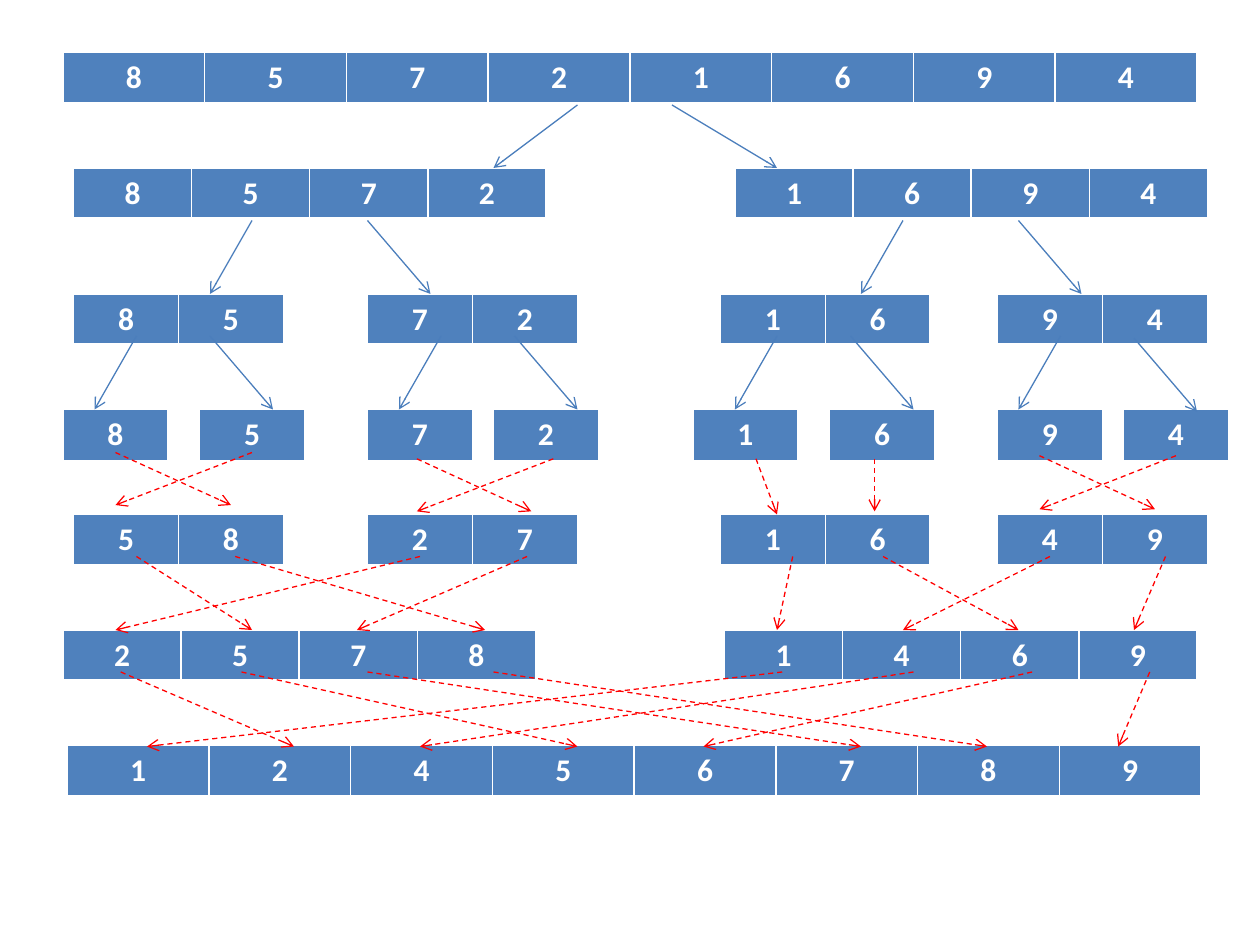
from pptx import Presentation, util as u
from pptx.dml.color import RGBColor
from pptx.enum import dml, shapes, text
from pptx.oxml.ns import qn
from lxml import etree

HUES = {"cell": "4F81BD", "edge": "FFFFFF", "text": "FFFFFF",
        "split": "4B7EBC", "merge": "FF0000"}
GRID = 2.54 / 12


def cm(n):
    return u.Cm(n * GRID)


def hue(key):
    return RGBColor.from_string(HUES[key])


class Sketch:
    font = "Calibri"
    size = u.Pt(18)
    thin = u.Pt(0.75)
    edges = {"a:lnL": 1, "a:lnR": 1, "a:lnT": 1, "a:lnB": 3}

    def __init__(self, deck):
        self.slide = deck.slides.add_slide(deck.slide_layouts[6])

    def border(self, cell):
        props = cell._tc.get_or_add_tcPr()
        for tag, width in self.edges.items():
            line = etree.SubElement(props, qn(tag), w=str(u.Pt(width)))
            fill = etree.SubElement(line, qn("a:solidFill"))
            etree.SubElement(fill, qn("a:srgbClr"), val=HUES["edge"])

    def array(self, left, top, wide, high, digits):
        count = len(digits)
        frame = self.slide.shapes.add_table(
            1, count, cm(left), cm(top), cm(wide * count), cm(high))
        table = frame.table
        table.horz_banding = False
        for cell, digit in zip(table.iter_cells(), digits):
            self.border(cell)
            cell.fill.solid()
            cell.fill.fore_color.rgb = hue("cell")
            cell.text = digit
            para = cell.text_frame.paragraphs[0]
            para.alignment = text.PP_ALIGN.CENTER
            para.font.name = self.font
            para.font.size = self.size
            para.font.bold = True
            para.font.color.rgb = hue("text")

    def arrow(self, start, top, end, base, kind):
        link = self.slide.shapes.add_connector(
            shapes.MSO_CONNECTOR.STRAIGHT, cm(start), cm(top), cm(end), cm(base))
        link.line.color.rgb = hue(kind)
        link.line.width = self.thin
        if kind == "merge":
            link.line.dash_style = dml.MSO_LINE.DASH
        etree.SubElement(link.line._get_or_add_ln(), qn("a:tailEnd"), type="arrow")
        etree.SubElement(link._element.spPr, qn("a:effectLst"))


ROWS = [
    (5, 13.5, 4.9, {6: "85721694"}),
    (16, 11.25, 4.75, {7: "8572", 70: "1694"}),
    (28, 10, 4.9, {7: "85", 35: "72", 68.6: "16", 95: "94"}),
    (39, 10, 5, {6: "8", 19: "5", 35: "7", 47: "2",
                 66: "1", 79: "6", 95: "9", 107: "4"}),
    (49, 10, 4.9, {7: "58", 35: "27", 68.6: "16", 95: "49"}),
    (60, 11.25, 4.75, {6: "2578", 69: "1469"}),
    (71, 13.5, 4.9, {6.4: "12456789"}),
]

LINKS = [
    ("split", 10, 16, [(55, 47), (64, 74)]),
    ("split", 21, 28, [(24, 20), (35, 41), (86, 82), (97, 103)]),
    ("split", 32, 39, [(13, 9), (42, 38), (74, 70), (101, 97),
                       (20, 26), (49, 55), (81, 87)]),
    ("split", 32.2, 39.2, [(108, 114)]),
    ("merge", 43.7, 48.7, [(83.3, 83.3), (39.7, 50.6), (52.7, 39.7)]),
    ("merge", 43.7, 49, [(72, 74)]),
    ("merge", 43.4, 48.5, [(99, 110), (112, 99)]),
    ("merge", 43.1, 48.1, [(11, 22), (24, 11)]),
    ("merge", 53, 60, [(40, 11), (13, 24), (50.2, 34), (22.4, 46.2),
                       (75.5, 74), (100, 86), (84.1, 97), (111, 108)]),
    ("merge", 64, 71.1, [(74.5, 14), (11.5, 28), (87, 40), (23, 55),
                         (98.3, 67), (35, 82), (47, 94), (109.5, 106.5)]),
]

deck = Presentation()
deck.slide_width = u.Cm(25.4)
deck.slide_height = u.Cm(19.05)
sketch = Sketch(deck)

for top, wide, high, parts in ROWS:
    for left, digits in parts.items():
        sketch.array(left, top, wide, high, digits)

for kind, top, base, pairs in LINKS:
    for start, end in pairs:
        sketch.arrow(start, top, end, base, kind)

deck.save("out.pptx")
